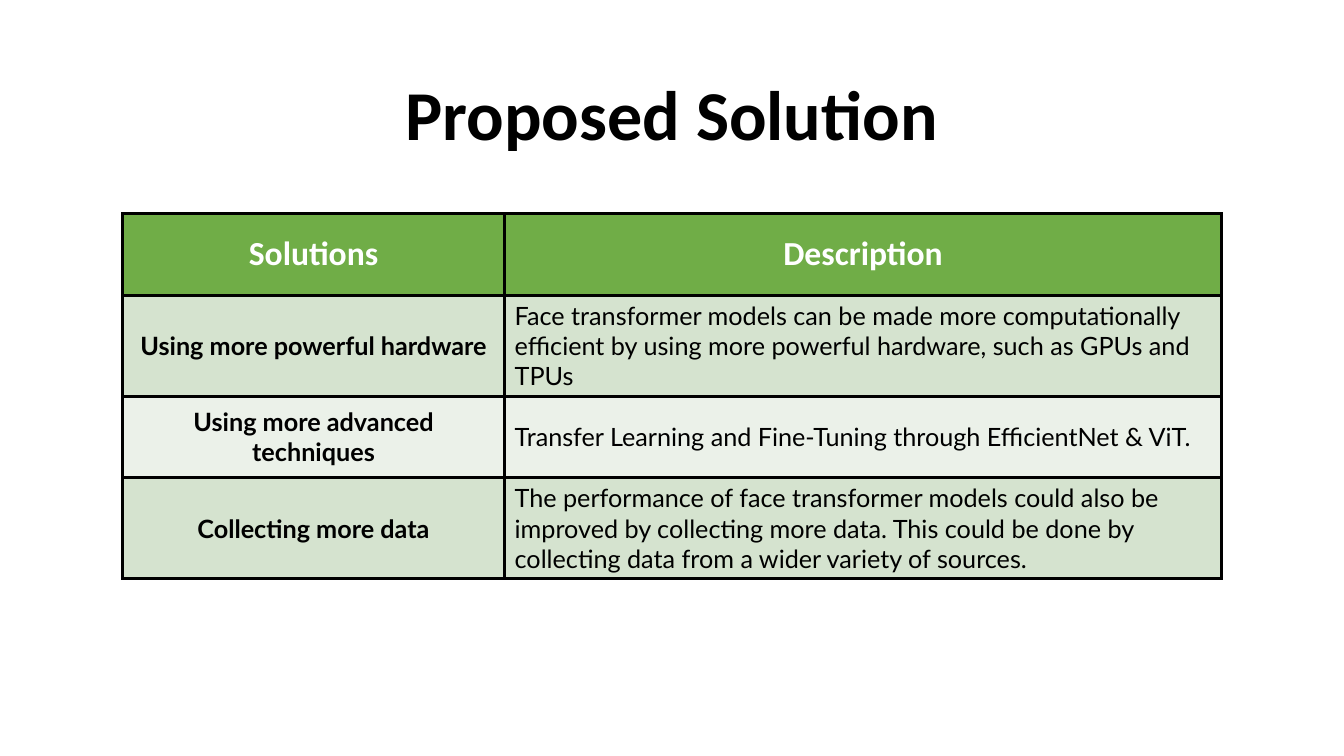
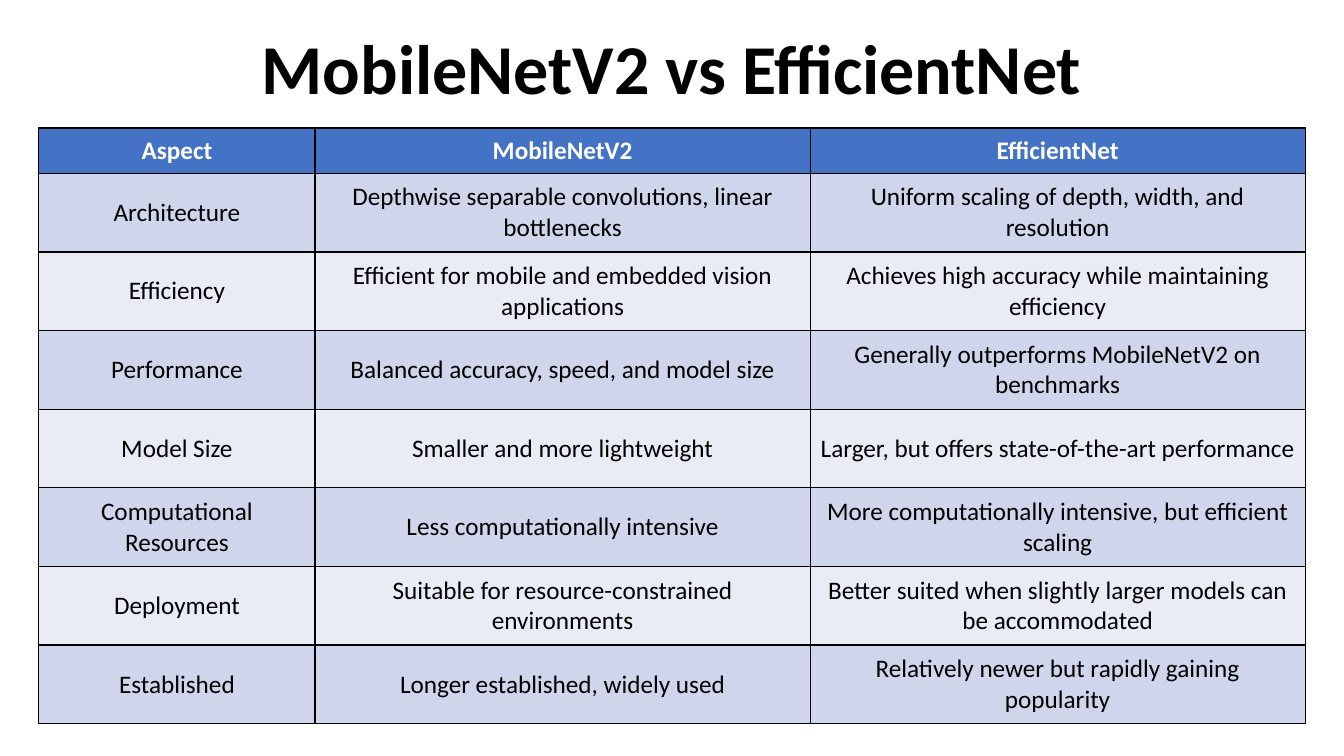
"""Build two slides, each with a title above a bordered comparison table."""
import dataclasses

import lxml.etree
import pptx
import pptx.dml.color
import pptx.enum.text
import pptx.oxml.ns
import pptx.util

ALIGN = pptx.enum.text.PP_ALIGN
MIDDLE = pptx.enum.text.MSO_ANCHOR.MIDDLE


@dataclasses.dataclass(frozen=True)
class Theme:
    black: str = "000000"
    white: str = "FFFFFF"
    green: tuple = ("70AD47", "D5E3CF", "EBF1E9")
    blue: tuple = ("4472C4", "CFD5EA", "E9EBF5")
    heading_font: str = "Calibri"
    body_font: str = "Lato"
    title_size: int = 50
    large_header_size: int = 24
    body_size: int = 18


theme = Theme()

slides = [
    {
        "title": "Proposed Solution",
        "title_top": 0.65,
        "table_top": 2.12,
        "columns": [3.79, 7.11],
        "header_height": 0.81,
        "row_height": 0.81,
        "colors": theme.green,
        "border": 2.25,
        "header_size": theme.large_header_size,
        "body_font": theme.body_font,
        "bold_columns": {0},
        "alignments": [ALIGN.CENTER, ALIGN.LEFT],
        "rows": [
            ["Solutions", "Description"],
            ["Using more powerful hardware",
             "Face transformer models can be made more computationally efficient "
             "by using more powerful hardware, such as GPUs and TPUs"],
            ["Using more advanced techniques",
             "Transfer Learning and Fine-Tuning through EfficientNet & ViT."],
            ["Collecting more data",
             "The performance of face transformer models could also be improved by "
             "collecting more data. This could be done by collecting data from a "
             "wider variety of sources."],
        ],
    },
    {
        "title": "MobileNetV2 vs EfficientNet",
        "title_top": 0.19,
        "table_top": 1.27,
        "columns": [2.74, 4.91, 4.91],
        "header_height": 0.45,
        "row_height": 0.78,
        "colors": theme.blue,
        "border": 1,
        "header_size": theme.body_size,
        "body_font": theme.heading_font,
        "bold_columns": set(),
        "alignments": [ALIGN.CENTER] * 3,
        "rows": [
            ["Aspect", "MobileNetV2", "EfficientNet"],
            ["Architecture", "Depthwise separable convolutions, linear bottlenecks",
             "Uniform scaling of depth, width, and resolution"],
            ["Efficiency", "Efficient for mobile and embedded vision applications",
             "Achieves high accuracy while maintaining efficiency"],
            ["Performance", "Balanced accuracy, speed, and model size",
             "Generally outperforms MobileNetV2 on benchmarks"],
            ["Model Size", "Smaller and more lightweight",
             "Larger, but offers state-of-the-art performance"],
            ["Computational Resources", "Less computationally intensive",
             "More computationally intensive, but efficient scaling"],
            ["Deployment", "Suitable for resource-constrained environments",
             "Better suited when slightly larger models can be accommodated"],
            ["Established", "Longer established, widely used",
             "Relatively newer but rapidly gaining popularity"],
        ],
    },
]


def write(text_frame, text, font, size, color, bold, alignment):
    paragraph = text_frame.paragraphs[0]
    paragraph.alignment = alignment
    run = paragraph.add_run()
    run.text = text
    run.font.name = font
    run.font.size = pptx.util.Pt(size)
    run.font.bold = bold
    run.font.color.rgb = pptx.dml.color.RGBColor.from_string(color)


def style_cell(cell, fill, border):
    properties = cell._tc.get_or_add_tcPr()
    for side in ("a:lnL", "a:lnR", "a:lnT", "a:lnB"):
        line = lxml.etree.SubElement(properties, pptx.oxml.ns.qn(side),
                                     w=str(pptx.util.Pt(border)))
        solid = lxml.etree.SubElement(line, pptx.oxml.ns.qn("a:solidFill"))
        lxml.etree.SubElement(solid, pptx.oxml.ns.qn("a:srgbClr"), val=theme.black)
    cell.fill.solid()
    cell.fill.fore_color.rgb = pptx.dml.color.RGBColor.from_string(fill)
    cell.vertical_anchor = MIDDLE


presentation = pptx.Presentation()
presentation.slide_width = pptx.util.Inches(13.33)
presentation.slide_height = pptx.util.Inches(7.5)
title_width = int(presentation.slide_width * 0.89)
title_height = presentation.slide_height // 8

for content in slides:
    slide = presentation.slides.add_slide(presentation.slide_layouts[6])
    title = slide.shapes.add_textbox(
        (presentation.slide_width - title_width) // 2,
        pptx.util.Inches(content["title_top"]), title_width, title_height)
    title.text_frame.word_wrap = True
    write(title.text_frame, content["title"], theme.heading_font,
          theme.title_size, theme.black, True, ALIGN.CENTER)

    rows = content["rows"]
    heights = [content["header_height"]] + [content["row_height"]] * (len(rows) - 1)
    table_width = pptx.util.Inches(sum(content["columns"]))
    table = slide.shapes.add_table(
        len(rows), len(content["columns"]),
        (presentation.slide_width - table_width) // 2,
        pptx.util.Inches(content["table_top"]),
        table_width, pptx.util.Inches(sum(heights))).table
    for column, width in zip(table.columns, content["columns"]):
        column.width = pptx.util.Inches(width)

    header_fill, odd_fill, even_fill = content["colors"]
    for row_index, texts in enumerate(rows):
        table.rows[row_index].height = pptx.util.Inches(heights[row_index])
        is_header = row_index == 0
        fill = header_fill if is_header else odd_fill if row_index % 2 else even_fill
        for column_index, text in enumerate(texts):
            cell = table.cell(row_index, column_index)
            style_cell(cell, fill, content["border"])
            if is_header:
                write(cell.text_frame, text, theme.heading_font,
                      content["header_size"], theme.white, True, ALIGN.CENTER)
            else:
                write(cell.text_frame, text, content["body_font"],
                      theme.body_size, theme.black,
                      column_index in content["bold_columns"],
                      content["alignments"][column_index])

presentation.save("out.pptx")
